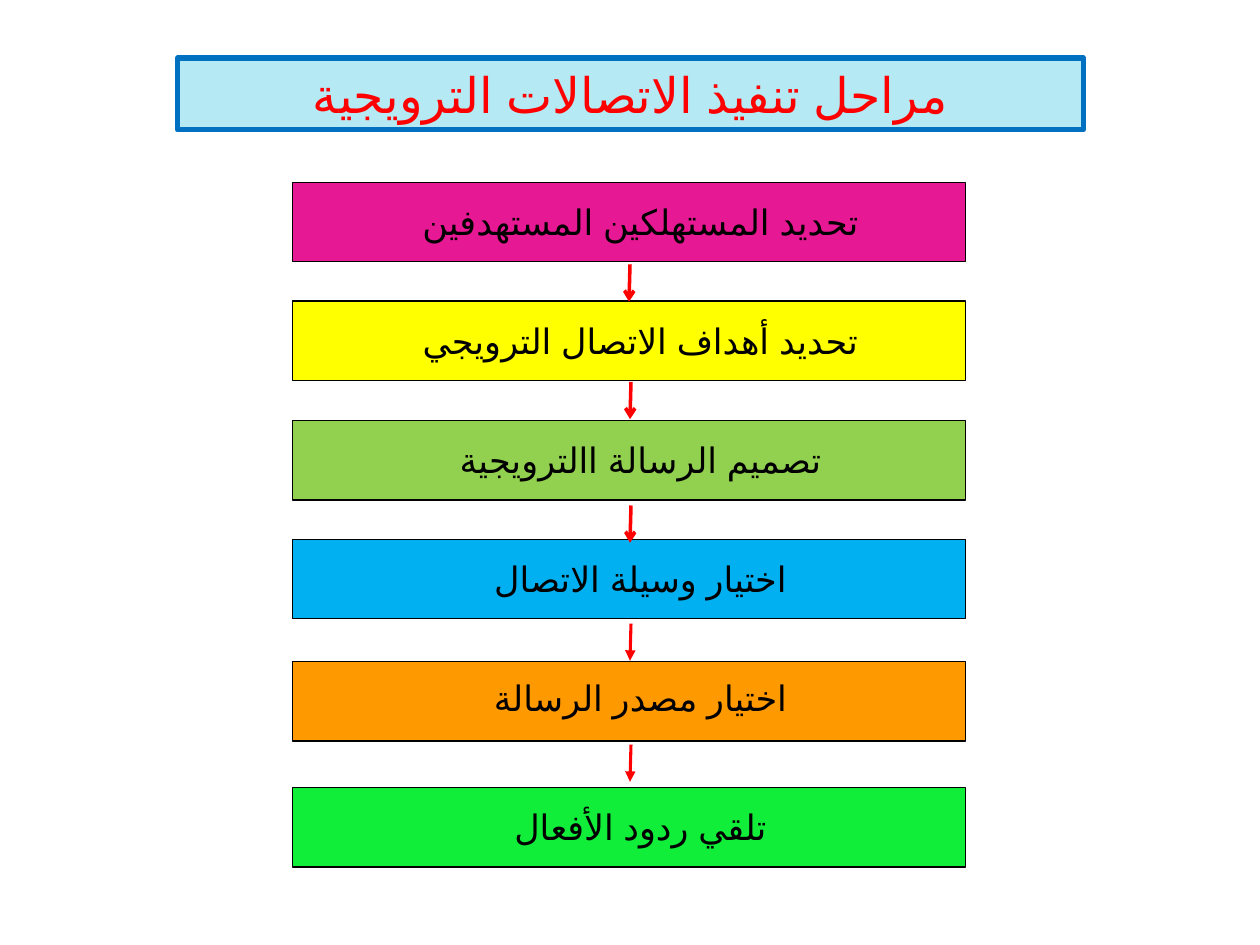
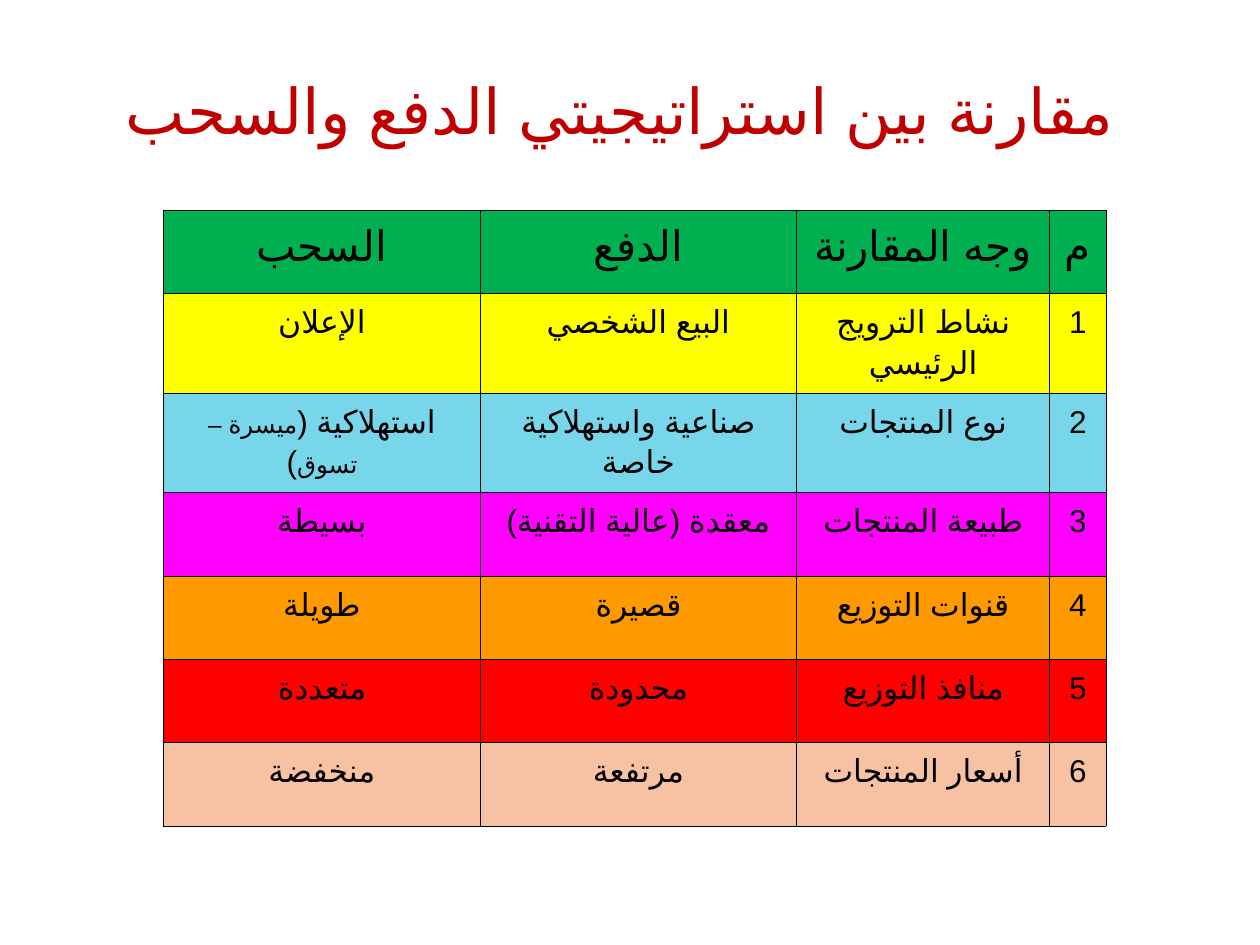
from lxml.etree import SubElement
from pptx import Presentation
from pptx.dml.color import RGBColor
from pptx.enum.lang import MSO_LANGUAGE_ID as LANG
from pptx.enum.shapes import MSO_CONNECTOR, MSO_SHAPE
from pptx.enum.text import MSO_ANCHOR, MSO_AUTO_SIZE as AUTO, PP_ALIGN
from pptx.oxml.ns import qn
from pptx.util import Cm, Pt

BLACK, RED = "000000", "FF0000"

# Slide 1: text, fill, top of the bar, drop of the label inside it (cm)
STAGES_TITLE = "مراحل تنفيذ الاتصالات الترويجية"
STAGES = [
    ("تحديد المستهلكين المستهدفين", "E61893", 3.68, 0.24),
    ("تحديد أهداف الاتصال الترويجي", "FFFF00", 6.07, 0.24),
    ("تصميم الرسالة االترويجية", "92D050", 8.48, 0.24),
    ("اختيار وسيلة الاتصال", "00B0F0", 10.87, 0.24),
    ("اختيار مصدر الرسالة", "FF9900", 13.34, 0.18),
    ("تلقي ردود الأفعال", "10EE3A", 15.88, 0.24),
]
# Arrows between stages: start x, start y (cm), width (pt), head
ARROWS = [
    (12.70, 5.33, 2, "arrow"),
    (12.72, 7.70, 2, "arrow"),
    (12.72, 10.19, 2, "arrow"),
    (12.72, 12.57, 1.75, "triangle"),
    (12.72, 15.01, 1.75, "triangle"),
]

# Slide 2: fill, row height (cm), cells; a cell may be a list of (text, size)
COMPARE_TITLE = "مقارنة بين استراتيجيتي الدفع والسحب"
COLUMN_WIDTHS = [6.38, 6.38, 5.1, 1.14]
ROWS = [
    ("00B050", 1.68, ["السحب", "الدفع", "وجه المقارنة", "م"]),
    ("FFFF00", 1.75, ["الإعلان", "البيع الشخصي", "نشاط الترويج الرئيسي", "1"]),
    ("78D6EA", 1.75, [[("استهلاكية (", 18), ("ميسرة – تسوق", 14), (")", 18)],
                      "صناعية واستهلاكية خاصة", "نوع المنتجات", "2"]),
    ("FF00FF", 1.68, ["بسيطة", "معقدة (عالية التقنية)", "طبيعة المنتجات", "3"]),
    ("FF9900", 1.68, ["طويلة", "قصيرة", "قنوات التوزيع", "4"]),
    ("FF0000", 1.68, ["متعددة", "محدودة", "منافذ التوزيع", "5"]),
    ("F7C1A4", 1.68, ["منخفضة", "مرتفعة", "أسعار المنتجات", "6"]),
]


def rgb(value):
    return RGBColor.from_string(value)


def write(frame, content, size, color=BLACK, font="Arial"):
    """Fill a text frame with one centred right-to-left Arabic paragraph."""
    para = frame.paragraphs[0]
    para.alignment = PP_ALIGN.CENTER
    para._p.get_or_add_pPr().set("rtl", "1")
    para.font.size = Pt(size)
    para.font.color.rgb = rgb(color)
    para.font.name = font
    SubElement(para.font._rPr, qn("a:cs")).set("typeface", "Arial")
    if isinstance(content, str):
        content = [(content, None)]
    for text, span_size in content:
        span = para.add_run()
        span.text = text
        span.font.language_id = LANG.ARABIC
        if span_size:
            span.font.size = Pt(span_size)
    return para


def add_bar(shapes, place, fill, line, width):
    bar = shapes.add_shape(MSO_SHAPE.RECTANGLE, *map(Cm, place))
    bar.shadow.inherit = False
    bar.fill.solid()
    bar.fill.fore_color.rgb = rgb(fill)
    bar.line.color.rgb = rgb(line)
    bar.line.width = Pt(width)
    return bar


def fit_text(box, text, size, color=BLACK):
    frame = box.text_frame
    frame.word_wrap = True
    frame.auto_size = AUTO.SHAPE_TO_FIT_TEXT
    frame.vertical_anchor = MSO_ANCHOR.TOP
    write(frame, text, size, color)


def add_label(shapes, place, text, size, color=BLACK):
    fit_text(shapes.add_textbox(*map(Cm, place)), text, size, color)


def add_arrow(page, x, y, width, head):
    arrow = page.shapes.add_connector(
        MSO_CONNECTOR.STRAIGHT, Cm(x), Cm(y), Cm(x - 0.02), Cm(y + 0.75))
    arrow.line.color.rgb = rgb(RED)
    arrow.line.width = Pt(width)
    SubElement(arrow.line._get_or_add_ln(), qn("a:tailEnd")).set("type", head)
    SubElement(arrow._element.spPr, qn("a:effectLst"))


def add_borders(cell):
    """Draw thin black edges; they go before the fill in the cell."""
    props = cell._tc.get_or_add_tcPr()
    for side in ("lnL", "lnR", "lnT", "lnB"):
        edge = SubElement(props, qn(f"a:{side}"), w=str(Pt(0.45)))
        paint = SubElement(edge, qn("a:solidFill"))
        SubElement(paint, qn("a:srgbClr")).set("val", BLACK)


def build_stages(page):
    title = add_bar(page.shapes, (3.58, 1.17, 18.26, 1.45), "B5E9F4", "0070C0", 3)
    fit_text(title, STAGES_TITLE, 28, RED)
    for text, fill, top, drop in STAGES:
        stage = page.shapes.add_group_shape()
        add_bar(stage.shapes, (5.9, top, 13.56, 1.6), fill, BLACK, 0.75)
        add_label(stage.shapes, (7.32, top + drop, 11.18, 1.12), text, 20)
    for arrow in ARROWS:
        add_arrow(page, *arrow)


def build_comparison(page):
    add_label(page.shapes, (1.7, 1.32, 21.59, 1.78), COMPARE_TITLE, 36, "C00000")
    heights = [height for _, height, _ in ROWS]
    table = page.shapes.add_table(
        len(ROWS), len(COLUMN_WIDTHS), Cm(3.3), Cm(4.24),
        Cm(sum(COLUMN_WIDTHS)), Cm(sum(heights))).table
    table.first_row = table.horz_banding = False
    for column, width in zip(table.columns, COLUMN_WIDTHS):
        column.width = Cm(width)
    for r, (fill, height, texts) in enumerate(ROWS):
        table.rows[r].height = Cm(height)
        for c, text in enumerate(texts):
            cell = table.cell(r, c)
            add_borders(cell)
            cell.fill.solid()
            cell.fill.fore_color.rgb = rgb(fill)
            cell.margin_left = cell.margin_right = Cm(0.18)
            para = write(cell.text_frame, text, 18 if r else 24, font="Calibri")
            para.line_spacing = 1.15


def main():
    deck = Presentation()
    deck.slide_width, deck.slide_height = Cm(25.4), Cm(19.05)
    for build in (build_stages, build_comparison):
        build(deck.slides.add_slide(deck.slide_layouts[6]))
    deck.save("out.pptx")


if __name__ == "__main__":
    main()
